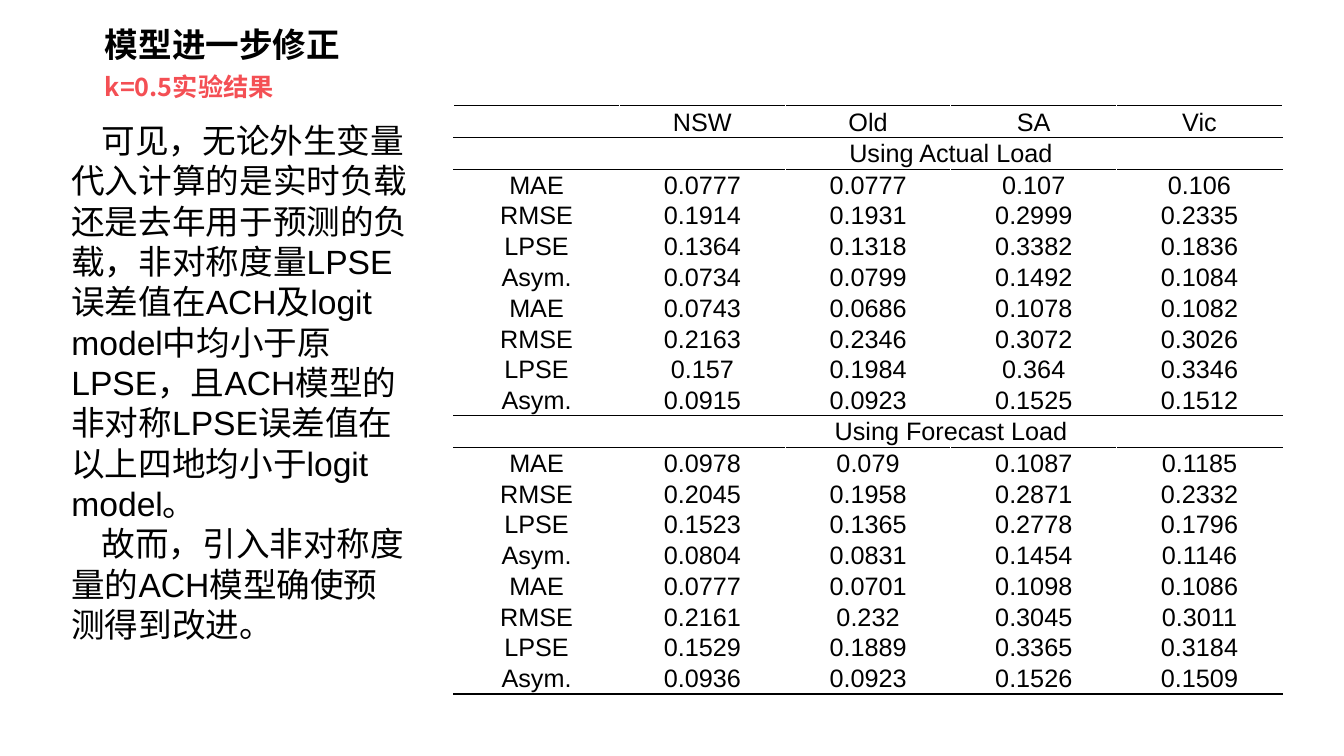
from pptx import Presentation
from pptx.dml.color import RGBColor as RGB
from pptx.enum.text import MSO_ANCHOR as Anchor, MSO_AUTO_SIZE as Auto, PP_ALIGN as Align
from pptx.oxml.ns import qn
from pptx.util import Pt
from lxml.etree import SubElement as Sub

PX = 9144  # 100 px to the inch
HUES = {"ink": "000000", "paper": "FFFFFF", "red": "F44F54"}
CJK = "Noto Sans CJK SC"
EDGES = ("left", "top", "width", "height")

HEAD = ["", "NSW", "Old", "SA", "Vic"]
STATS = ["MAE", "RMSE", "LPSE", "Asym."]
LOADS = {
    "Using Actual Load": """
        0.0777 0.0777 0.107 0.106
        0.1914 0.1931 0.2999 0.2335
        0.1364 0.1318 0.3382 0.1836
        0.0734 0.0799 0.1492 0.1084
        0.0743 0.0686 0.1078 0.1082
        0.2163 0.2346 0.3072 0.3026
        0.157 0.1984 0.364 0.3346
        0.0915 0.0923 0.1525 0.1512""",
    "Using Forecast Load": """
        0.0978 0.079 0.1087 0.1185
        0.2045 0.1958 0.2871 0.2332
        0.1523 0.1365 0.2778 0.1796
        0.0804 0.0831 0.1454 0.1146
        0.0777 0.0701 0.1098 0.1086
        0.2161 0.232 0.3045 0.3011
        0.1529 0.1889 0.3365 0.3184
        0.0936 0.0923 0.1526 0.1509""",
}
NOTES = [
    "可见，无论外生变量代入计算的是实时负载还是去年用于预测的负载，非对称度量LPSE误差值在ACH及"
    "logit model中均小于原LPSE，且ACH模型的非对称LPSE误差值在以上四地均小于logit model。",
    "故而，引入非对称度量的ACH模型确使预测得到改进。",
]


def assign(item, form):
    for key, value in form.items():
        setattr(item, key, value)


def write(para, text, hue="ink", **form):
    run = para.add_run()
    run.text = text
    assign(run.font, form)
    run.font.color.rgb = RGB.from_string(HUES[hue])
    Sub(run.font._element, qn("a:ea"), typeface=CJK)


def place(shape, *box):
    assign(shape, {edge: n * PX for edge, n in zip(EDGES, box)})
    assign(shape.text_frame, {
        "word_wrap": True, "auto_size": Auto.NONE, "vertical_anchor": Anchor.TOP,
        "margin_left": 10 * PX, "margin_right": 10 * PX})
    return shape.text_frame


def add_title(slide):
    frame = place(slide.shapes.title, 94, 3, 356, 98)
    frame.margin_top = frame.margin_bottom = 5 * PX
    lines = [("模型进一步修正", "ink", 24, 40), ("k=0.5实验结果", "red", 18, 27)]
    for i, (text, hue, size, pitch) in enumerate(lines):
        para = frame.add_paragraph() if i else frame.paragraphs[0]
        assign(para, {"alignment": Align.LEFT, "line_spacing": Pt(pitch),
                      "space_before": Pt(0)})
        write(para, text, hue, size=Pt(size), name=CJK, bold=True)


def add_notes(slide):
    frame = place(slide.shapes.add_textbox(0, 0, 0, 0), 61, 119, 356, 554)
    frame.margin_top = frame.margin_bottom = 0
    for i, text in enumerate(NOTES):
        para = frame.add_paragraph() if i else frame.paragraphs[0]
        para.line_spacing = Pt(28.8)
        para._p.get_or_add_pPr().set("indent", str(30 * PX))
        write(para, text, size=Pt(24), name="Arial")


def add_border(cell, side, hue):
    line = Sub(cell._tc.get_or_add_tcPr(), qn("a:ln" + side), w=str(Pt(1)))
    Sub(Sub(line, qn("a:solidFill")), qn("a:srgbClr"), val=HUES[hue])


def fill_cell(cell, text, sides):
    for side, hue in sides.items():
        add_border(cell, side, hue)
    cell.fill.solid()
    cell.fill.fore_color.rgb = RGB.from_string(HUES["paper"])
    assign(cell, {"margin_left": PX, "margin_right": PX, "margin_top": PX,
                  "margin_bottom": 0, "vertical_anchor": Anchor.MIDDLE})
    para = cell.text_frame.paragraphs[0]
    para.alignment = Align.CENTER
    if text:
        write(para, text, size=Pt(18), name="Arial")
    else:
        para.font.size = Pt(18)


def add_scores(slide):
    # Each load gives a band row, then its statistics twice over
    rows, bands = [HEAD], []
    for band, block in LOADS.items():
        bands.append(len(rows))
        rows.append(["", band, "", "", ""])
        for i, line in enumerate(block.split("\n")[1:]):
            rows.append([STATS[i % len(STATS)], *line.split()])

    count, cols = len(rows), len(HEAD)
    table = slide.shapes.add_table(
        count, cols, 450 * PX, 105 * PX, 822 * PX, 581 * PX).table
    assign(table, {"first_row": False, "horz_banding": False})
    for row in table.rows:
        row.height = 581 * PX // count

    # Black rules frame the table and every band
    rules = {0, count, *bands, *(b + 1 for b in bands)}
    for r, row in enumerate(rows):
        for c, text in enumerate(row):
            sides = {}
            if c > 0 and r not in bands:
                sides["L"] = "paper"
            if c < cols - 1 and r not in bands:
                sides["R"] = "paper"
            sides["T"] = "ink" if r in rules else "paper"
            sides["B"] = "ink" if r + 1 in rules else "paper"
            fill_cell(table.cell(r, c), text, sides)
    for b in bands:
        table.cell(b, 1).merge(table.cell(b, cols - 1))


def main():
    deck = Presentation()
    assign(deck, {"slide_width": 1333 * PX, "slide_height": 750 * PX})
    slide = deck.slides.add_slide(deck.slide_layouts[5])
    add_title(slide)
    add_scores(slide)
    add_notes(slide)
    deck.save("out.pptx")


if __name__ == "__main__":
    main()
